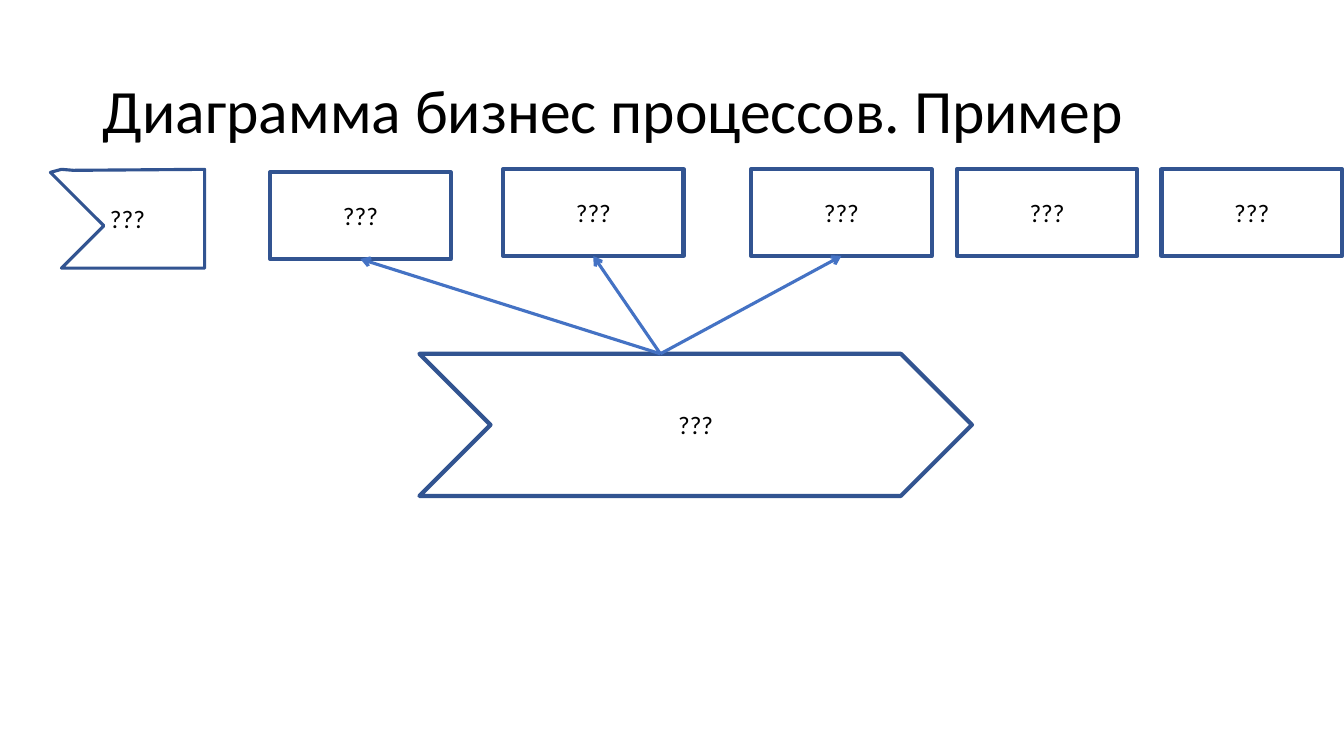
from typing import NamedTuple

from pptx import Presentation
from pptx import util as u
from pptx.dml.color import RGBColor
from pptx.enum import shapes, text
from pptx.oxml.ns import qn
from lxml import etree

FONT = "Calibri"
BLACK = RGBColor(0x00, 0x00, 0x00)
OUTLINE = RGBColor(0x32, 0x54, 0x91)
ARROW = RGBColor(0x44, 0x72, 0xC4)
LABEL = "???"


class Step(NamedTuple):
    left: float
    top: float
    linked: bool


STEP_WIDTH, STEP_HEIGHT = 1.79, 0.86
STEPS = [
    Step(2.68, 1.71, True),
    Step(4.99, 1.68, True),
    Step(7.45, 1.68, True),
    Step(9.49, 1.68, False),
    Step(11.52, 1.68, False),
]
ARROW_START = (6.55, 3.51)
NOTCHED_OUTLINE = [(0.61, 1.68), (0.73, 1.69), (2.03, 1.68), (2.03, 2.66),
                   (0.61, 2.66), (1.03, 2.24), (0.5, 1.71)]


def style_shape(shape, line_width: float) -> None:
    """Give a shape its outline and centred label."""
    shape.shadow.inherit = False
    shape.fill.background()
    shape.line.color.rgb = OUTLINE
    shape.line.width = u.Pt(line_width)
    frame = shape.text_frame
    frame.word_wrap = True
    frame.vertical_anchor = text.MSO_ANCHOR.MIDDLE
    para = frame.paragraphs[0]
    para.text = LABEL
    para.alignment = text.PP_ALIGN.CENTER
    para.font.name = FONT
    para.font.size = u.Pt(18)
    para.font.color.rgb = BLACK


def add_box(page, kind, left: float, top: float, width: float, height: float):
    box = page.shapes.add_shape(kind, u.Inches(left), u.Inches(top),
                                u.Inches(width), u.Inches(height))
    style_shape(box, 3)
    return box


def add_arrow(page, target) -> None:
    """Draw an arrow from the process to the bottom of a step."""
    x, y = map(u.Inches, ARROW_START)
    arrow = page.shapes.add_connector(shapes.MSO_CONNECTOR.STRAIGHT, x, y, x, y)
    arrow.end_connect(target, 2)
    arrow.line.color.rgb = ARROW
    arrow.line.width = u.Pt(2.25)
    properties = arrow.element.spPr
    line = properties.find(qn("a:ln"))
    etree.SubElement(line, qn("a:tailEnd"), type="arrow")
    etree.SubElement(properties, qn("a:effectLst"))


deck = Presentation()
deck.slide_width, deck.slide_height = u.Inches(13.33), u.Inches(7.5)
page = deck.slides.add_slide(deck.slide_layouts[5])

# Title
title = page.shapes.title
title.left, title.top = u.Inches(0.92), u.Inches(0.4)
title.width, title.height = u.Inches(11.5), u.Inches(1.45)
title.text_frame.auto_size = text.MSO_AUTO_SIZE.NONE
title.text_frame.vertical_anchor = text.MSO_ANCHOR.MIDDLE
heading = title.text_frame.paragraphs[0]
heading.text = "Диаграмма бизнес процессов. Пример"
heading.alignment = text.PP_ALIGN.LEFT
heading.line_spacing = 0.9
heading.font.name = FONT
heading.font.size = u.Pt(44)
heading.font.color.rgb = BLACK

# Main process and row of steps
add_box(page, shapes.MSO_SHAPE.CHEVRON, 4.16, 3.51, 5.48, 1.41)
step_boxes = [add_box(page, shapes.MSO_SHAPE.RECTANGLE, step.left, step.top,
                      STEP_WIDTH, STEP_HEIGHT) for step in STEPS]

# Notched start of the row
points = [(u.Inches(x), u.Inches(y)) for x, y in NOTCHED_OUTLINE]
builder = page.shapes.build_freeform(*points[0])
builder.add_line_segments(points[1:], close=True)
style_shape(builder.convert_to_shape(), 2.25)

# Arrows to the linked steps
for step, box in reversed(list(zip(STEPS, step_boxes))):
    if step.linked:
        add_arrow(page, box)

deck.save("out.pptx")
